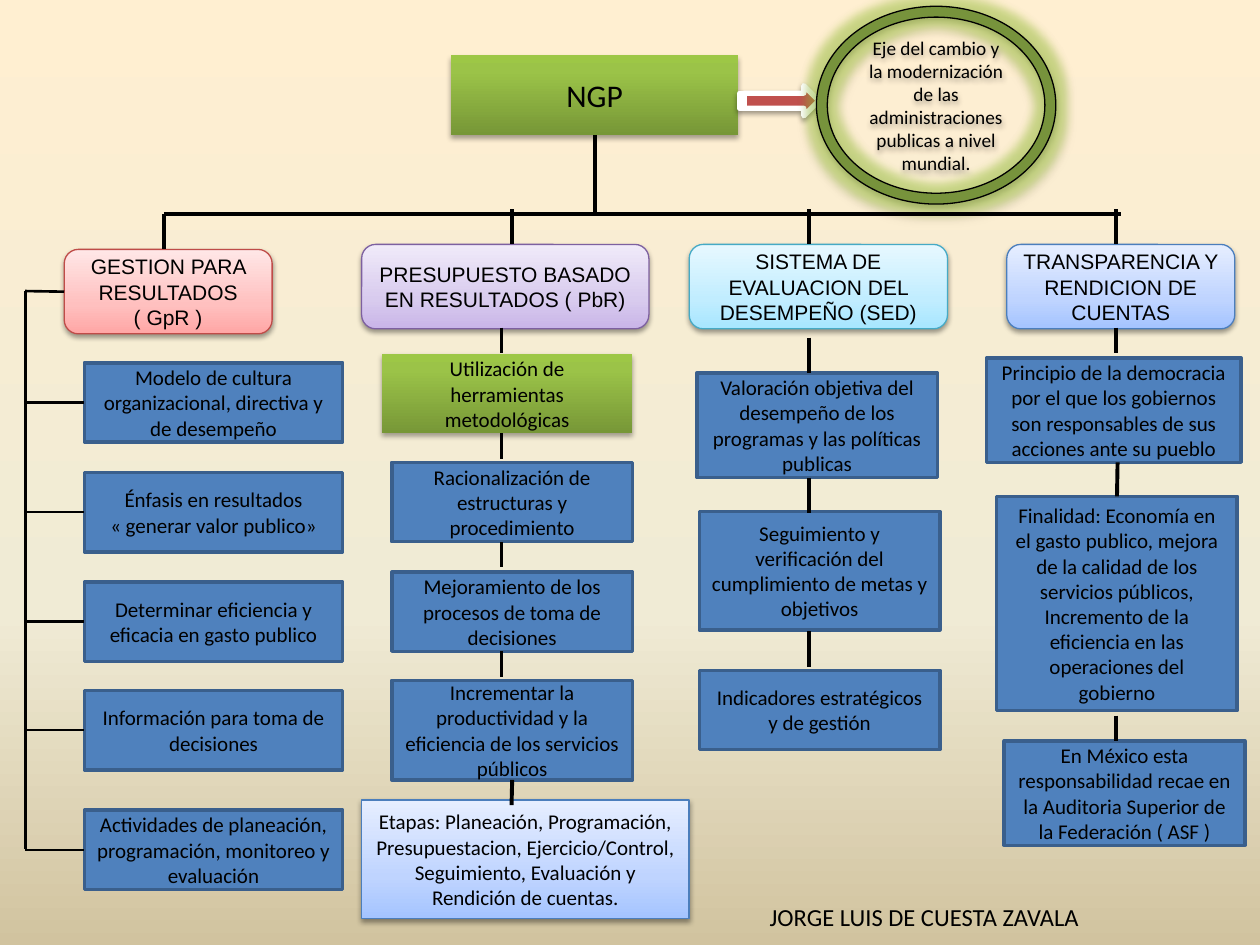
from copy import deepcopy

from lxml import etree
from pptx import Presentation
from pptx import util as u
from pptx.dml.color import RGBColor
from pptx.enum import shapes, text
from pptx.oxml.ns import qn

BLACK = RGBColor(0x00, 0x00, 0x00)
WHITE = RGBColor(0xFF, 0xFF, 0xFF)
BLUE = RGBColor(0x4F, 0x81, 0xBD)
NAVY = RGBColor(0x3A, 0x5F, 0x8C)
RED = RGBColor(0xC0, 0x50, 0x4D)
OLIVE = RGBColor(0x77, 0x93, 0x3C)
LIME = RGBColor(0xA6, 0xD8, 0x37)
ROSE = RGBColor(0xBF, 0x4C, 0x48)
PLUM = RGBColor(0x7D, 0x60, 0xA0)
TEAL = RGBColor(0x46, 0xAA, 0xC5)
STEEL = RGBColor(0x4B, 0x7E, 0xBC)


def ramp(*stops):
    return [(pos, RGBColor.from_string(tone)) for pos, tone in stops]


SAND = ramp((0, "FFEFD1"), (0.65, "F0EBD5"), (1, "D1C39F"))
GREEN = ramp((0, "779737"), (0.8, "9BC348"), (1, "9DC746"))
PINK = ramp((0, "FFA6A5"), (0.35, "FFC0BF"), (1, "FFE7E7"))
LILAC = ramp((0, "C9B5E8"), (0.35, "D8CBEE"), (1, "F0EAF9"))
AQUA = ramp((0, "A7E6FF"), (0.35, "C1EDFF"), (1, "E7F8FF"))
SKY = ramp((0, "A4C4FF"), (0.35, "BFD4FF"), (1, "E6EEFF"))

KIND = shapes.MSO_SHAPE
TOP, LEFT, BOTTOM = 0, 1, 2


class Chart:
    """Holds the current slide and the style of its parts."""

    font, size = "Calibri", 12

    def __init__(self, slide):
        self.slide = slide
        self.items = slide.shapes

    def blend(self, fill, owner, stops, angle):
        fill.gradient()
        fill.gradient_angle = angle
        first = owner.find(".//" + qn("a:gs"))
        first.addnext(deepcopy(first))
        for stop, (pos, tone) in zip(fill.gradient_stops, stops):
            stop.position = pos
            stop.color.rgb = tone

    def back(self, stops):
        self.blend(self.slide.background.fill, self.slide.element, stops, 270)

    def effect(self, item, tag, tone, alpha, **sizes):
        """Adds one effect to a shape; sizes are in points."""
        group = item.element.spPr.find(qn("a:effectLst"))
        attrs = {key: str(int(u.Pt(val))) for key, val in sizes.items()}
        node = etree.SubElement(group, qn("a:" + tag), attrs)
        color = etree.SubElement(node, qn("a:srgbClr"), val=str(tone))
        etree.SubElement(color, qn("a:alpha"), val=str(alpha * 1000))
        return node

    def shade(self, item, alpha, dist):
        node = self.effect(item, "outerShdw", BLACK, alpha, blurRad=3.1, dist=dist)
        node.set("dir", "5400000")
        node.set("rotWithShape", "0")

    def words(self, frame, copy, size, font, align):
        frame.word_wrap = True
        frame.text = copy
        for par in frame.paragraphs:
            par.alignment = align
            for run in par.runs:
                run.font.name = font
                run.font.size = u.Pt(size)
                run.font.color.rgb = BLACK

    def box(self, place, copy="", fill=BLUE, edge=NAVY, width=2.0,
            kind=KIND.RECTANGLE, size=size, font=font):
        item = self.items.add_shape(kind, *map(u.Inches, place))
        item.shadow.inherit = False
        if isinstance(fill, list):
            self.blend(item.fill, item.element, fill, 90)
        else:
            item.fill.solid()
            item.fill.fore_color.rgb = fill
        if edge is None:
            item.line.fill.background()
        else:
            item.line.color.rgb = edge
            item.line.width = u.Pt(width)
        if copy:
            item.text_frame.vertical_anchor = text.MSO_ANCHOR.MIDDLE
            self.words(item.text_frame, copy, size, font, text.PP_ALIGN.CENTER)
        return item

    def line(self, x1, y1, x2, y2, width=2.25, start=None, end=None):
        item = self.items.add_connector(
            shapes.MSO_CONNECTOR.STRAIGHT, *map(u.Inches, (x1, y1, x2, y2)))
        item.line.color.rgb = BLACK
        item.line.width = u.Pt(width)
        etree.SubElement(item.element.spPr, qn("a:effectLst"))
        if start:
            item.begin_connect(*start)
        if end:
            item.end_connect(*end)

    def label(self, place, copy, size):
        item = self.items.add_textbox(*map(u.Inches, place))
        self.words(item.text_frame, copy, size, self.font, text.PP_ALIGN.LEFT)


def main():
    deck = Presentation()
    deck.slide_width, deck.slide_height = u.Inches(10), u.Inches(7.5)
    chart = Chart(deck.slides.add_slide(deck.slide_layouts[6]))
    chart.back(SAND)

    # Root, arrow and ring
    root = chart.box((3.58, 0.44, 2.28, 0.63), "NGP", GREEN, None, size=18)
    chart.shade(root, 35, 1.8)
    arrow = chart.box((5.87, 0.68, 0.63, 0.24), "", RED, WHITE, 3,
                      KIND.STRIPED_RIGHT_ARROW)
    chart.shade(arrow, 38, 1.6)
    ring = chart.box((6.48, 0.05, 1.9, 1.57),
                     "Eje del cambio y la modernización de las "
                     "administraciones publicas a nivel mundial.",
                     OLIVE, BLACK, 0.75, KIND.DONUT, 11)
    ring.adjustments[0] = 0.055
    chart.effect(ring, "glow", LIME, 40, rad=11)
    chart.shade(ring, 35, 1.8)

    # Four branch heads
    heads = []
    for place, copy, fill, edge in (
        ((0.51, 1.98, 1.65, 0.67), "GESTION PARA RESULTADOS\v( GpR )", PINK, ROSE),
        ((2.87, 1.94, 2.28, 0.67), "PRESUPUESTO BASADO EN RESULTADOS ( PbR)",
         LILAC, PLUM),
        ((5.47, 1.94, 2.05, 0.67), "SISTEMA DE EVALUACION DEL DESEMPEÑO (SED)",
         AQUA, TEAL),
        ((7.99, 1.94, 1.81, 0.67), "TRANSPARENCIA Y RENDICION DE CUENTAS",
         SKY, STEEL),
    ):
        head = chart.box(place, copy, fill, edge, 0.75,
                         KIND.ROUNDED_RECTANGLE, font="Arial")
        chart.shade(head, 38, 1.6)
        heads.append(head)

    # Trunk and drops
    chart.line(4.72, 1.07, 4.72, 1.7, start=(root, BOTTOM))
    chart.line(1.3, 1.7, 8.9, 1.7)
    chart.line(1.3, 1.7, 1.3, 1.98)
    for x in (4.06, 6.42, 8.86):
        chart.line(x, 1.66, x, 1.94)

    # Results management: boxes on a side rail
    rail = 0.2
    chart.line(0.51, 2.31, rail, 2.31, 1.5, start=(heads[0], LEFT))
    chart.line(rail, 2.31, rail, 6.74, 1.5)
    for y, copy in (
        (2.88, "Modelo de cultura organizacional, directiva y de desempeño"),
        (3.75, "Énfasis en resultados\v« generar valor publico»"),
        (4.62, "Determinar eficiencia y eficacia en gasto publico"),
        (5.48, "Información para toma de decisiones"),
        (6.43, "Actividades de planeación, programación, monitoreo y evaluación"),
    ):
        item = chart.box((0.67, y, 2.05, 0.63), copy)
        mid = y + 0.63 / 2
        chart.line(rail, mid, 0.67, mid, 1.5, end=(item, LEFT))

    # Budget column
    tools = chart.box((3.03, 2.81, 1.99, 0.63),
                      "Utilización de herramientas metodológicas", GREEN, None)
    chart.shade(tools, 35, 1.8)
    for y, high, copy in (
        (3.67, 0.63, "Racionalización de estructuras y procedimiento"),
        (4.54, 0.63, "Mejoramiento de los procesos de toma de decisiones"),
        (5.4, 0.79, "Incrementar la productividad y la eficiencia de los "
                    "servicios públicos"),
    ):
        last = chart.box((3.11, y, 1.91, high), copy)
    stages = chart.box((2.87, 6.35, 2.6, 0.94),
                       "Etapas: Planeación, Programación, Presupuestacion, "
                       "Ejercicio/Control, Seguimiento, Evaluación y "
                       "Rendición de cuentas.", SKY, STEEL, 0.75)
    chart.shade(stages, 38, 1.6)
    for y in (2.6, 3.44, 4.3, 5.17):
        chart.line(3.98, y, 3.98, y + 0.2)
    chart.line(4.06, 6.19, 4.06, 6.39, start=(last, BOTTOM))

    # Performance column
    for x, y, high, copy in (
        (5.53, 2.96, 0.83, "Valoración objetiva del desempeño de los programas "
                           "y las políticas publicas"),
        (5.55, 4.06, 0.94, "Seguimiento y verificación del cumplimiento de "
                           "metas y objetivos"),
        (5.55, 5.32, 0.63, "Indicadores estratégicos y de gestión"),
    ):
        chart.box((x, y, 1.91, high), copy)
    for y in (2.68, 3.79, 5.01):
        chart.line(6.42, y, 6.42, y + 0.28)

    # Accountability column
    chart.box((7.83, 2.84, 2.02, 0.83),
              "Principio de la democracia por el que los gobiernos son "
              "responsables de sus acciones ante su pueblo")
    goal = chart.box((7.91, 3.94, 1.91, 1.7),
                     "Finalidad: Economía en el gasto publico, mejora de la "
                     "calidad de los servicios públicos, Incremento de la "
                     "eficiencia en las operaciones del gobierno")
    chart.box((7.97, 5.88, 1.91, 0.83),
              "En México esta responsabilidad recae en la Auditoria Superior "
              "de la Federación ( ASF )")
    for y in (2.6, 5.68):
        chart.line(8.86, y, 8.86, y + 0.2)
    chart.line(8.87, 3.67, 8.87, 3.94, end=(goal, TOP))

    # Author
    chart.label((6.01, 7.11, 3.09, 0.34), "JORGE LUIS DE CUESTA ZAVALA", 14)
    deck.save("out.pptx")


if __name__ == "__main__":
    main()
